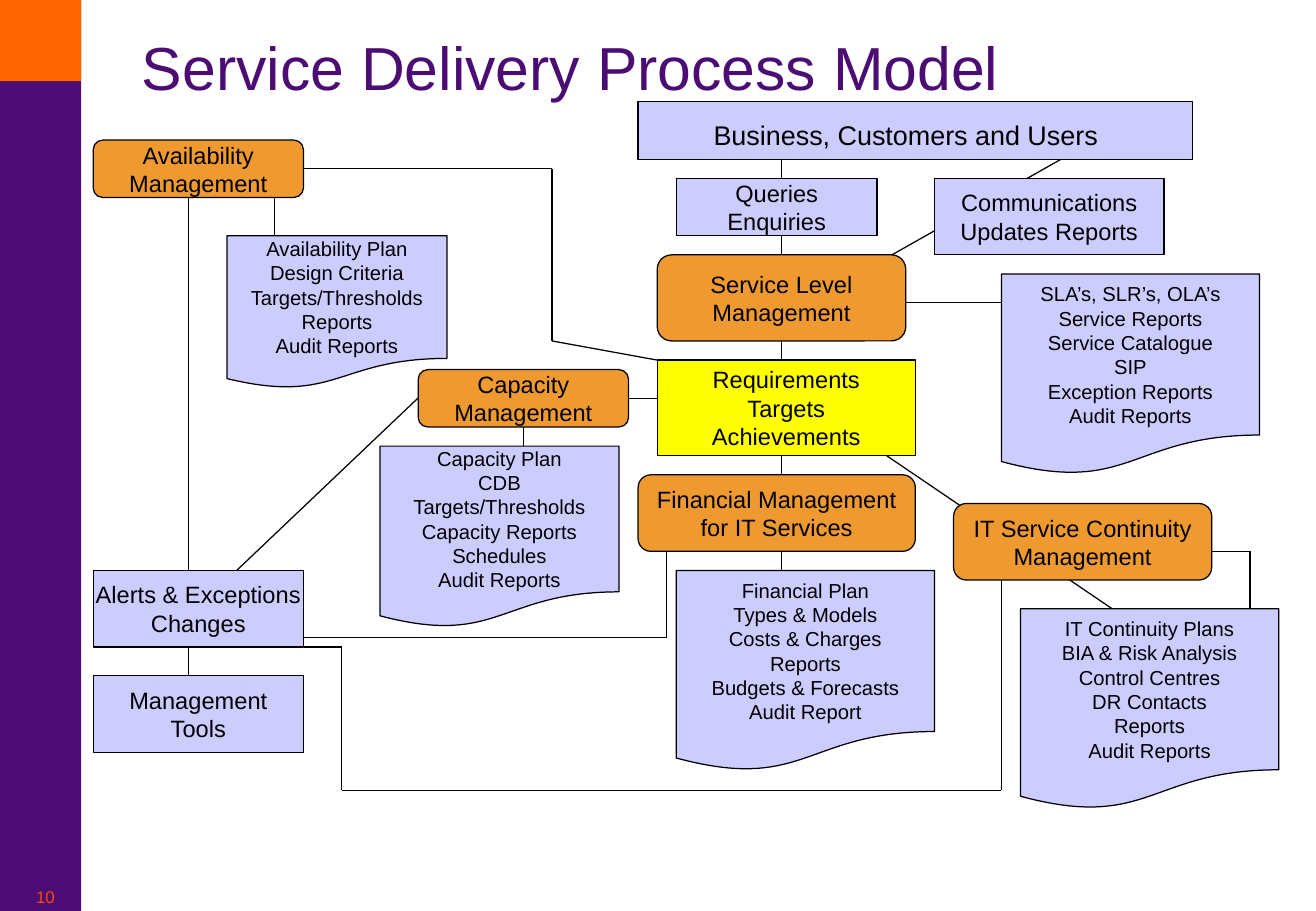
from lxml import etree
from pptx import Presentation
from pptx.dml.color import RGBColor
from pptx.enum.shapes import MSO_CONNECTOR, MSO_SHAPE
from pptx.enum.text import MSO_ANCHOR, PP_ALIGN
from pptx.oxml.ns import qn
from pptx.util import Cm, Pt
from itertools import pairwise

RECTANGLE = MSO_SHAPE.RECTANGLE
ROUNDED = MSO_SHAPE.ROUNDED_RECTANGLE
DOCUMENT = MSO_SHAPE.FLOWCHART_DOCUMENT
STRAIGHT = MSO_CONNECTOR.STRAIGHT
CENTER = PP_ALIGN.CENTER
LEFT = PP_ALIGN.LEFT
MIDDLE = MSO_ANCHOR.MIDDLE

COLORS = {
    "purple": "4B0D73",
    "orange": "FF6600",
    "number": "FF4600",
    "process": "EF9A30",
    "item": "CCCCFF",
    "target": "FFFF00",
    "black": "000000",
}
FONT = "Arial"
LINE_WIDTH = Pt(0.75)

ROUTES = [
    [(13.15, 8.33), (13.75, 8.33)],
    [(4.95, 11.93), (8.95, 8.13)],
    [(22.55, 3.13), (17.95, 5.73)],
    [(18.55, 9.53), (24.15, 13.33)],
    [(3.95, 3.93), (3.95, 14.33)],
    [(16.35, 3.33), (16.35, 12.13)],
    [(16.95, 6.33), (24.95, 6.33)],
    [(25.35, 11.53), (26.15, 11.53), (26.15, 12.73)],
    [(20.95, 12.13), (20.95, 16.53), (7.15, 16.53), (7.15, 13.53), (6.35, 13.53)],
    [(13.95, 11.53), (13.95, 13.33), (6.35, 13.33)],
    [(10.95, 8.93), (10.95, 9.33)],
    [(5.75, 4.93), (5.75, 4.13)],
    [(6.35, 3.53), (11.55, 3.53), (11.55, 7.13), (13.75, 7.53)],
]

DOCUMENTS = [
    ((7.95, 9.33, 5, 3.8), ["Capacity Plan", "CDB", "Targets/Thresholds",
                            "Capacity Reports", "Schedules", "Audit Reports"]),
    ((20.95, 5.73, 5.4, 4.2), ["SLA’s, SLR’s, OLA’s", "Service Reports", "Service Catalogue",
                               "SIP", "Exception Reports", "Audit Reports"]),
    ((21.35, 12.73, 5.4, 4.2), ["IT Continuity Plans", "BIA & Risk Analysis", "Control Centres",
                                "DR Contacts", "Reports", "Audit Reports"]),
    ((14.15, 11.93, 5.4, 4.2), ["Financial Plan", "Types & Models", "Costs & Charges",
                                "Reports", "Budgets & Forecasts", "Audit Report"]),
    ((4.75, 4.93, 4.6, 3.2), ["Availability Plan", "Design Criteria", "Targets/Thresholds",
                              "Reports", "Audit Reports"]),
]

PROCESSES = [
    ((13.75, 5.33, 5.2, 1.8), ["Service Level", "Management"]),
    ((19.95, 10.53, 5.4, 1.6), ["IT Service Continuity", "Management"]),
    ((13.35, 9.93, 5.8, 1.6), ["Financial Management", "for IT Services"]),
    ((8.75, 7.73, 4.4, 1.2), ["Capacity", "Management"]),
    ((1.95, 2.93, 4.4, 1.2), ["Availability", "Management"]),
]

ITEMS = [
    ((13.35, 2.13, 11.6, 1.2), []),
    ((19.55, 3.73, 4.8, 1.6), ["Communications", "Updates Reports"]),
    ((14.15, 3.73, 4.2, 1.2), ["Queries", "Enquiries"]),
    ((1.95, 11.93, 4.4, 1.6), ["Alerts & Exceptions", "Changes"]),
    ((1.95, 14.13, 4.4, 1.6), ["Management", "Tools"]),
]

TARGET = ((13.75, 7.53, 5.4, 2), ["Requirements", "Targets", "Achievements"])


def rgb(name):
    return RGBColor.from_string(COLORS[name])


def write_lines(text_frame, lines, size, color="black", alignment=CENTER):
    for index, line in enumerate(lines):
        paragraph = text_frame.add_paragraph() if index else text_frame.paragraphs[0]
        paragraph.text = line
        paragraph.alignment = alignment
        paragraph.font.name = FONT
        paragraph.font.size = Pt(size)
        paragraph.font.color.rgb = rgb(color)


def add_block(slide, kind, bounds, fill):
    shape = slide.shapes.add_shape(kind, *map(Cm, bounds))
    shape.shadow.inherit = False
    shape.fill.solid()
    shape.fill.fore_color.rgb = rgb(fill)
    shape.line.fill.background()
    return shape


def add_node(slide, kind, bounds, lines, fill, size=14):
    shape = add_block(slide, kind, bounds, fill)
    shape.line.color.rgb = rgb("black")
    shape.line.width = LINE_WIDTH
    shape.text_frame.word_wrap = False
    shape.text_frame.vertical_anchor = MIDDLE
    write_lines(shape.text_frame, lines, size)


def add_label(slide, bounds, text, size, color, alignment=CENTER, margin=None):
    text_frame = slide.shapes.add_textbox(*map(Cm, bounds)).text_frame
    text_frame.word_wrap = True
    if margin is not None:
        text_frame.margin_left = text_frame.margin_right = Cm(margin)
        text_frame.margin_top = text_frame.margin_bottom = Cm(margin)
    write_lines(text_frame, [text], size, color, alignment)


def add_route(slide, points):
    for start, end in pairwise(points):
        connector = slide.shapes.add_connector(STRAIGHT, *map(Cm, start + end))
        connector.line.color.rgb = rgb("black")
        connector.line.width = LINE_WIDTH
        etree.SubElement(connector._element.spPr, qn("a:effectLst"))


def main():
    presentation = Presentation()
    presentation.slide_width = Cm(27.53)
    presentation.slide_height = Cm(19.05)
    slide = presentation.slides.add_slide(presentation.slide_layouts[6])

    add_block(slide, RECTANGLE, (0, 0, 1.7, 19.05), "purple")
    add_block(slide, RECTANGLE, (0, 0, 1.7, 1.7), "orange")
    add_label(slide, (2.97, 0.63, 23.93, 1.27), "Service Delivery Process Model",
              36, "purple", LEFT, 0)

    for points in ROUTES:
        add_route(slide, points)
    for bounds, lines in ITEMS:
        add_node(slide, RECTANGLE, bounds, lines, "item")
    for bounds, lines in DOCUMENTS:
        add_node(slide, DOCUMENT, bounds, lines, "item", 12)
    for bounds, lines in PROCESSES:
        add_node(slide, ROUNDED, bounds, lines, "process")
    add_node(slide, RECTANGLE, *TARGET, "target")

    add_label(slide, (13.55, 2.35, 10.8, 0.94), "Business, Customers and Users", 16, "black")
    add_label(slide, (0, 18.42, 1.9, 0.63), "10", 10, "number")
    presentation.save("out.pptx")


if __name__ == "__main__":
    main()
